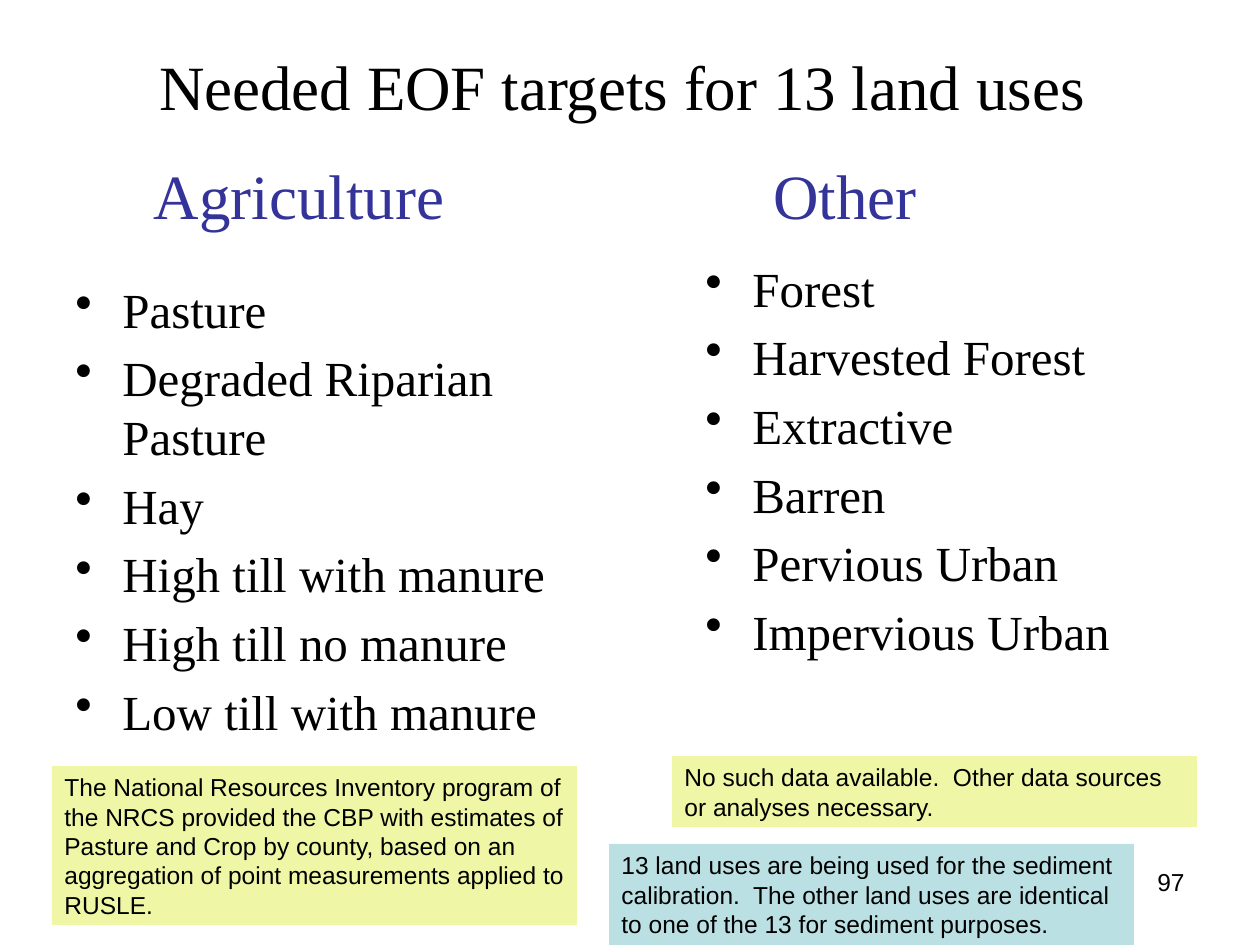
from lxml import etree
from pptx import Presentation
from pptx.dml.color import RGBColor
from pptx.enum.shapes import MSO_SHAPE
from pptx.enum.text import MSO_ANCHOR, PP_ALIGN
from pptx.oxml.ns import qn
from pptx.util import Pt

RECT = MSO_SHAPE.RECTANGLE
TOP, MID = MSO_ANCHOR.TOP, MSO_ANCHOR.MIDDLE
LEFT, CENTER, RIGHT = PP_ALIGN.LEFT, PP_ALIGN.CENTER, PP_ALIGN.RIGHT

SERIF, SANS = "Times New Roman", "Arial"
BLACK, BLUE, LIME, AQUA = "000000", "333399", "EFF7A7", "BBE0E3"


def px(n):
    return round(n * 914400 / 126)


def rgb(code):
    return RGBColor.from_string(code)


class Deck:
    def __init__(self, wide, high):
        self.prs = Presentation()
        self.prs.slide_width, self.prs.slide_height = px(wide), px(high)
        self.slide = self.prs.slides.add_slide(self.prs.slide_layouts[6])

    def style(self, para, face, size, color, align):
        para.alignment = align
        font = para.font
        font.name, font.size = face, Pt(size)
        font.color.rgb = rgb(color)

    def text(self, box, words, face, size, color=BLACK, align=LEFT, anchor=TOP):
        frame = self.slide.shapes.add_textbox(*map(px, box)).text_frame
        frame.word_wrap = True
        frame.vertical_anchor = anchor
        frame.text = words
        for para in frame.paragraphs:
            self.style(para, face, size, color, align)
        return frame

    def head(self, box, words, color):
        self.text(box, words, SERIF, 36, color, CENTER, MID)

    def items(self, box, names):
        frame = self.text(box, "\n".join(names), SERIF, 28)
        for i, para in enumerate(frame.paragraphs):
            if i:
                para.space_before = Pt(5.6)
            props = para._p.get_or_add_pPr()
            props.set("marL", str(px(47)))
            props.set("indent", str(-px(47)))
            mark = etree.Element(qn("a:buChar"), char="•")
            props.find(qn("a:defRPr")).addprevious(mark)

    def note(self, box, words, fill):
        shape = self.slide.shapes.add_shape(RECT, *map(px, box))
        shape.shadow.inherit = False
        shape.fill.solid()
        shape.fill.fore_color.rgb = rgb(fill)
        shape.line.fill.background()
        frame = shape.text_frame
        frame.word_wrap = True
        frame.vertical_anchor = TOP
        frame.text = words
        self.style(frame.paragraphs[0], SANS, 14, BLACK, LEFT)


def main():
    deck = Deck(1260, 945)

    # Slide number and title
    deck.text((903, 861, 294, 66), "97", SANS, 14, align=RIGHT)
    deck.head((63, 38, 1134, 94), "Needed EOF targets for 13 land uses ", BLACK)

    # Land use columns
    deck.head((63, 147, 472, 94), "Agriculture", BLUE)
    deck.items((63, 273, 536, 557), [
        "Pasture", "Degraded Riparian Pasture", "Hay",
        "High till with manure", "High till no manure", "Low till with manure",
    ])
    deck.head((609, 147, 472, 94), "Other", BLUE)
    deck.items((693, 252, 525, 557), [
        "Forest", "Harvested Forest", "Extractive",
        "Barren", "Pervious Urban", "Impervious Urban",
    ])

    # Notes on data sources
    deck.note((52, 766, 525, 159),
              "The National Resources Inventory program of the NRCS provided the "
              "CBP with estimates of Pasture and Crop by county, based on an "
              "aggregation of point measurements applied to RUSLE.", LIME)
    deck.note((672, 756, 525, 71),
              "No such data available.  Other data sources or analyses "
              "necessary.", LIME)
    deck.note((609, 844, 525, 101),
              "13 land uses are being used for the sediment calibration.  The "
              "other land uses are identical to one of the 13 for sediment "
              "purposes.", AQUA)

    deck.prs.save("out.pptx")


if __name__ == "__main__":
    main()
